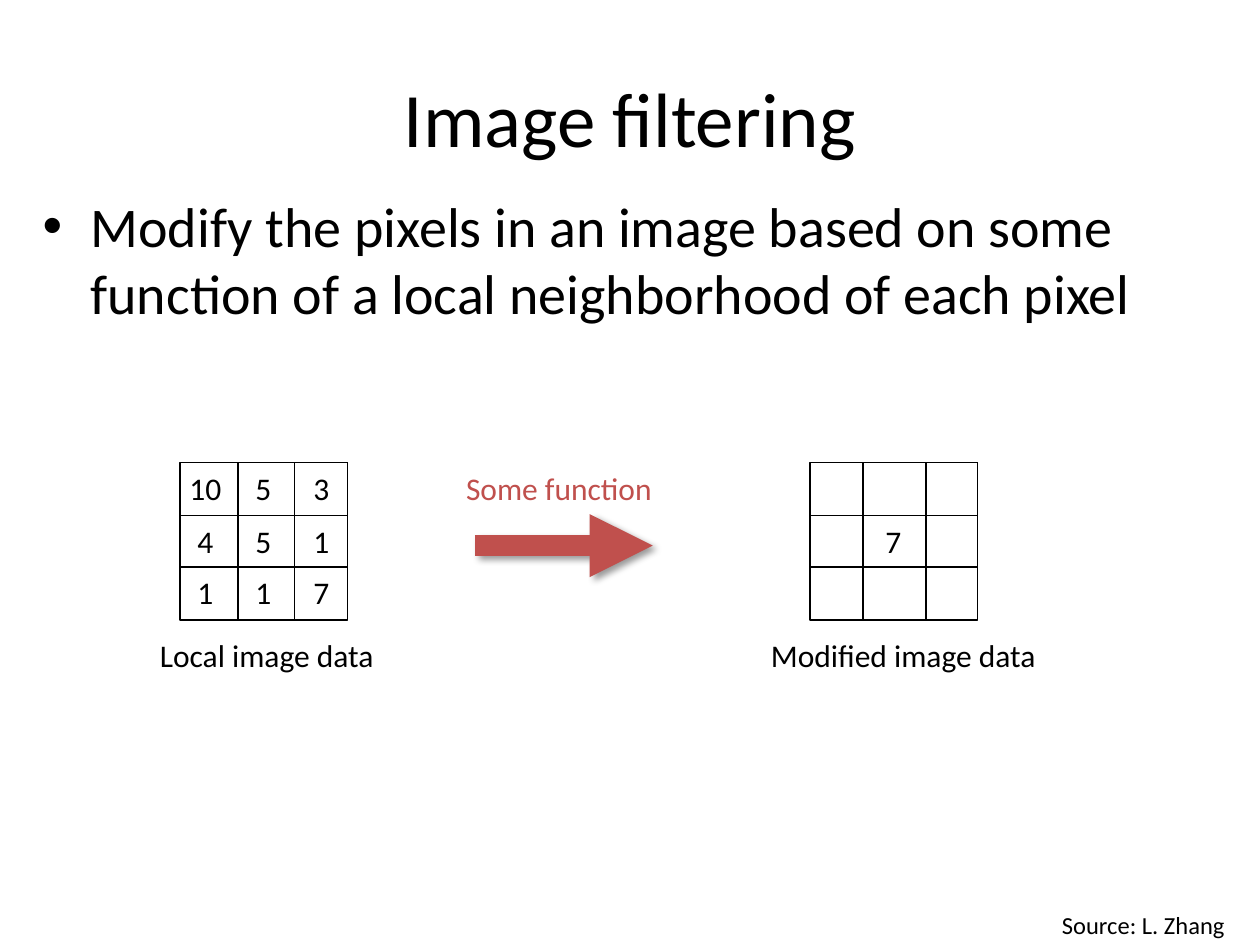
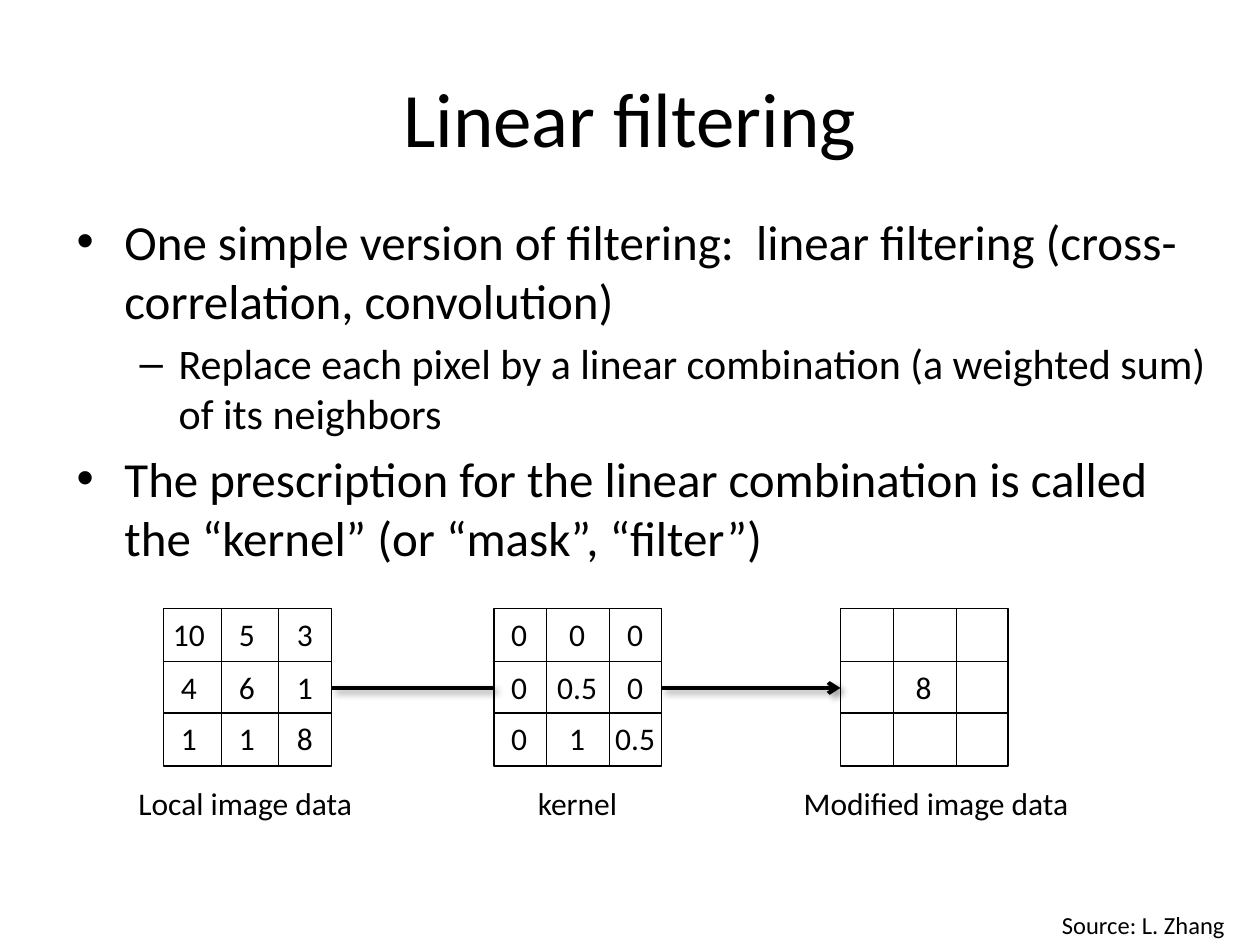
import dataclasses
import itertools

import lxml.etree
import pptx
import pptx.dml.color
import pptx.enum.shapes
import pptx.enum.text
import pptx.oxml.ns
import pptx.util

# Content: lengths in px, 100 px to the inch
PIXELS = [[10, 5, 3], [4, 5, 1], [1, 1, 7]]
NEARBY = [[10, 5, 3], [4, 6, 1], [1, 1, 8]]
KERNEL = [[0, 0, 0], [0, 0.5, 0], [0, 1, 0.5]]


def result(value):
    return [[""] * 3, ["", value, ""], [""] * 3]


WIDE, EVEN = (46, 91), (42, 92)  # inner column rules of a grid

SLIDES = [
    dict(
        title="Image filtering",
        box=(24, 147, 954, 151),
        points=[(0, 32, "Modify the pixels in an image based on some "
                        "function of a local neighborhood of each pixel")],
        top=367,
        grids=[(143, WIDE, PIXELS), (643, EVEN, result(7))],
        labels=[((117, 500, 249, 50), "Local image data", "ink"),
                ((602, 500, 297, 50), "Modified image data", "ink"),
                ((360, 367, 215, 50), "Some function", "accent")],
        arrows=[((377, 433, 518, 433), "accent", 12, "triangle")],
    ),
    dict(
        title="Linear filtering",
        box=(51, 163, 916, 553),
        points=[(0, 28, "One simple version of filtering:  linear filtering "
                        "(cross-correlation, convolution)"),
                (1, 24, "Replace each pixel by a linear combination "
                        "(a weighted sum) of its neighbors"),
                (0, 28, "The prescription for the linear combination is "
                        "called the “kernel” (or “mask”, “filter”)")],
        top=483,
        grids=[(130, WIDE, NEARBY), (392, EVEN, KERNEL),
               (667, EVEN, result(8))],
        labels=[((100, 617, 200, 40), "Local image data", "ink"),
                ((417, 617, 103, 50), "kernel", "ink"),
                ((628, 617, 297, 50), "Modified image data", "ink")],
        arrows=[((263, 546, 392, 546), "ink", 2.25, None),
                ((525, 546, 667, 546), "ink", 2.25, "arrow")],
    ),
]
SOURCE = "Source: L. Zhang"


@dataclasses.dataclass(frozen=True)
class Theme:
    font: str = "Calibri"
    ink: str = "000000"
    accent: str = "C0504D"
    title: int = 44
    text: int = 18
    small: int = 14
    rule: float = 0.75


THEME = Theme()
SCALE = 9144
GRID_W, GRID_H = 133, 125
CENTRES = (20, 66, 112)             # text centres of the columns
CELL_W = {1: 33, 2: 46, 3: 52}      # text box width by count of digits
BULLETS = [("•", 38, -38), ("–", 81, -31)]
ALIGN = pptx.enum.text.PP_ALIGN
FIT = dict(word_wrap=False,
           auto_size=pptx.enum.text.MSO_AUTO_SIZE.SHAPE_TO_FIT_TEXT)


# Helpers
def px(*values):
    return [round(v * SCALE) for v in values]


def put(item, **values):
    for name, value in values.items():
        setattr(item, name, value)


def tint(name):
    return pptx.dml.color.RGBColor.from_string(getattr(THEME, name))


def node(parent, tag, **values):
    return lxml.etree.SubElement(parent, pptx.oxml.ns.qn(tag), values)


def write(para, text, size, color="ink", **values):
    para.add_run().text = text
    put(para, **values)
    put(para.font, name=THEME.font, size=pptx.util.Pt(size))
    para.font.color.rgb = tint(color)


def frame(shapes, box, **values):
    area = shapes.add_textbox(*px(*box)).text_frame
    put(area, **values)
    return area


def label(shapes, box, text, size=THEME.text, color="ink", align=ALIGN.LEFT):
    write(frame(shapes, box, **FIT).paragraphs[0], text, size, color,
          alignment=align)


def line(shapes, ends, color="ink", width=THEME.rule, tip=None, shade=False):
    kind = pptx.enum.shapes.MSO_CONNECTOR.STRAIGHT
    rule = shapes.add_connector(kind, *px(*ends))
    rule.line.width = pptx.util.Pt(width)
    rule.line.color.rgb = tint(color)
    if tip:
        node(rule.line._get_or_add_ln(), "a:tailEnd", type=tip)
    effect = node(rule._element.spPr, "a:effectLst")
    if shade:
        cast = node(effect, "a:outerShdw", blurRad=str(pptx.util.Pt(4)),
                    dist=str(pptx.util.Pt(3)), dir=str(45 * 60000),
                    rotWithShape="0")
        node(node(cast, "a:srgbClr", val=THEME.ink), "a:alpha", val="40000")


# Parts
def grid(slide, left, top, cols, rows):
    shapes = slide.shapes.add_group_shape().shapes
    edge = shapes.add_shape(pptx.enum.shapes.MSO_SHAPE.RECTANGLE,
                            *px(left, top, GRID_W, GRID_H))
    edge.shadow.inherit = False
    edge.fill.background()
    edge.line.width = pptx.util.Pt(THEME.rule)
    edge.line.color.rgb = tint("ink")
    steps = [top + round(GRID_H * i / 3) for i in range(3)]
    for x in cols:
        line(shapes, (left + x, top, left + x, top + GRID_H))
    for y in steps:
        line(shapes, (left, y, left + GRID_W, y))
    for (y, row), col in itertools.product(zip(steps, rows), range(3)):
        text = str(row[col])
        if text:
            wide = CELL_W[len(text)]
            box = (left + CENTRES[col] - wide / 2, y, wide, 40)
            label(shapes, box, text, align=ALIGN.CENTER)


def body(slide, box, points):
    area = frame(slide.shapes, box, word_wrap=True)
    for i, (level, size, text) in enumerate(points):
        para = area.add_paragraph() if i else area.paragraphs[0]
        mark, left, hang = BULLETS[level]
        props = para._p.get_or_add_pPr()
        for name, value in zip(("marL", "indent"), px(left, hang)):
            props.set(name, str(value))
        node(props, "a:buFont", typeface="Arial")
        node(props, "a:buChar", char=mark)
        write(para, text, size, level=level,
              space_before=pptx.util.Pt(size * 0.2 if i else 0))


def build(slide, data):
    shapes = slide.shapes
    head = frame(shapes, (50, 30, 900, 125), word_wrap=True,
                 vertical_anchor=pptx.enum.text.MSO_ANCHOR.MIDDLE)
    write(head.paragraphs[0], data["title"], THEME.title,
          alignment=ALIGN.CENTER)
    body(slide, data["box"], data["points"])
    for left, cols, rows in data["grids"]:
        grid(slide, left, data["top"], cols, rows)
    for box, text, color in data["labels"]:
        label(shapes, box, text, color=color)
    for ends, color, width, tip in data["arrows"]:
        line(shapes, ends, color, width, tip, shade=True)
    label(shapes, (833, 717, 150, 34), SOURCE, THEME.small)


def main():
    deck = pptx.Presentation()
    wide, high = px(1000, 750)
    put(deck, slide_width=wide, slide_height=high)
    for data in SLIDES:
        build(deck.slides.add_slide(deck.slide_layouts[6]), data)
    deck.save("out.pptx")


if __name__ == "__main__":
    main()
